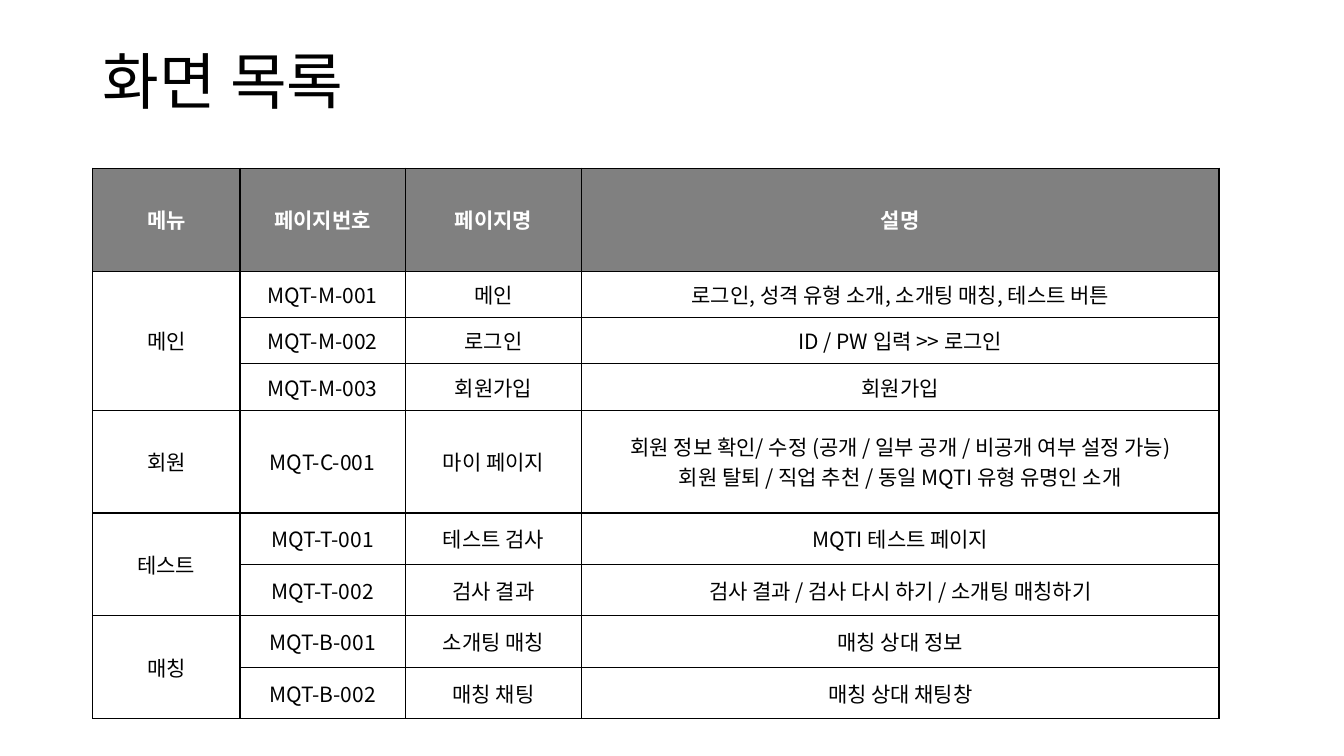
from dataclasses import dataclass

from lxml import etree
from pptx import Presentation
from pptx import util as u
from pptx.dml.color import RGBColor
from pptx.enum import text
from pptx.oxml import ns

TITLE = "화면 목록"
HEADERS = ["메뉴", "페이지번호", "페이지명", "설명"]
MENUS = [
    ("메인", 0.46, [
        ("MQT-M-001", "메인", "로그인, 성격 유형 소개, 소개팅 매칭, 테스트 버튼"),
        ("MQT-M-002", "로그인", "ID / PW 입력 >> 로그인"),
        ("MQT-M-003", "회원가입", "회원가입"),
    ]),
    ("회원", 1.02, [
        ("MQT-C-001", "마이 페이지",
         "회원 정보 확인/ 수정 (공개 / 일부 공개 / 비공개 여부 설정 가능)\n"
         "회원 탈퇴 / 직업 추천 / 동일 MQTI 유형 유명인 소개"),
    ]),
    ("테스트", 0.51, [
        ("MQT-T-001", "테스트 검사", "MQTI 테스트 페이지"),
        ("MQT-T-002", "검사 결과", "검사 결과 / 검사 다시 하기 / 소개팅 매칭하기"),
    ]),
    ("매칭", 0.51, [
        ("MQT-B-001", "소개팅 매칭", "매칭 상대 정보"),
        ("MQT-B-002", "매칭 채팅", "매칭 상대 채팅창"),
    ]),
]
COLUMN_WIDTHS = [1.46, 1.64, 1.75, 6.32]
HEADER_HEIGHT = 1.02
LEFT, TABLE_TOP = 0.92, 1.67


@dataclass(frozen=True)
class Theme:
    font: str = "Noto Sans CJK KR"
    ink: str = "000000"
    paper: str = "FFFFFF"
    header: str = "808080"
    title_size: int = 44
    cell_size: int = 15
    border: int = 1


THEME = Theme()


def format_text(frame, size, color, bold, alignment):
    frame.vertical_anchor = text.MSO_ANCHOR.MIDDLE
    for paragraph in frame.paragraphs:
        paragraph.alignment = alignment
        for run in paragraph.runs:
            run.font.size = u.Pt(size)
            run.font.bold = bold
            run.font.name = THEME.font
            run.font.color.rgb = RGBColor.from_string(color)
            east_asian = etree.SubElement(run.font._element, ns.qn("a:ea"))
            east_asian.set("typeface", THEME.font)


def add_borders(cell):
    properties = cell._tc.get_or_add_tcPr()
    for index, side in enumerate(["lnL", "lnR", "lnT", "lnB"]):
        line = etree.Element(ns.qn(f"a:{side}"), w=str(u.Pt(THEME.border)))
        fill = etree.SubElement(line, ns.qn("a:solidFill"))
        etree.SubElement(fill, ns.qn("a:srgbClr"), val=THEME.ink)
        properties.insert(index, line)


def format_cell(cell, is_header):
    cell.fill.solid()
    cell.fill.fore_color.rgb = RGBColor.from_string(THEME.header if is_header else THEME.paper)
    color = THEME.paper if is_header else THEME.ink
    format_text(cell.text_frame, THEME.cell_size, color, is_header, text.PP_ALIGN.CENTER)
    cell.vertical_anchor = text.MSO_ANCHOR.MIDDLE
    add_borders(cell)


def add_title(slide):
    title = slide.shapes.title
    title.left, title.top = u.Inches(LEFT), u.Inches(0.11)
    title.width, title.height = u.Inches(11.5), u.Inches(1.45)
    title.text_frame.text = TITLE
    format_text(title.text_frame, THEME.title_size, THEME.ink, False, text.PP_ALIGN.LEFT)
    title.text_frame.paragraphs[0].line_spacing = 0.9


def add_page_table(slide):
    rows, heights = [HEADERS], [HEADER_HEIGHT]
    for menu, height, pages in MENUS:
        for index, page in enumerate(pages):
            rows.append(["" if index else menu, *page])
            heights.append(height)
    table = slide.shapes.add_table(
        len(rows), len(HEADERS), u.Inches(LEFT), u.Inches(TABLE_TOP),
        u.Inches(sum(COLUMN_WIDTHS)), u.Inches(sum(heights))).table
    for column, width in zip(table.columns, COLUMN_WIDTHS):
        column.width = u.Inches(width)
    for row_index, (values, height) in enumerate(zip(rows, heights)):
        table.rows[row_index].height = u.Inches(height)
        for cell, value in zip(table.rows[row_index].cells, values):
            cell.text_frame.text = value
            format_cell(cell, row_index == 0)
    first = 1
    for menu, height, pages in MENUS:
        last = first + len(pages) - 1
        if last > first:
            table.cell(first, 0).merge(table.cell(last, 0))
        first = last + 1


def main():
    presentation = Presentation()
    presentation.slide_width, presentation.slide_height = u.Inches(13.33), u.Inches(7.5)
    slide = presentation.slides.add_slide(presentation.slide_layouts[5])
    add_title(slide)
    add_page_table(slide)
    presentation.save("out.pptx")


if __name__ == "__main__":
    main()
